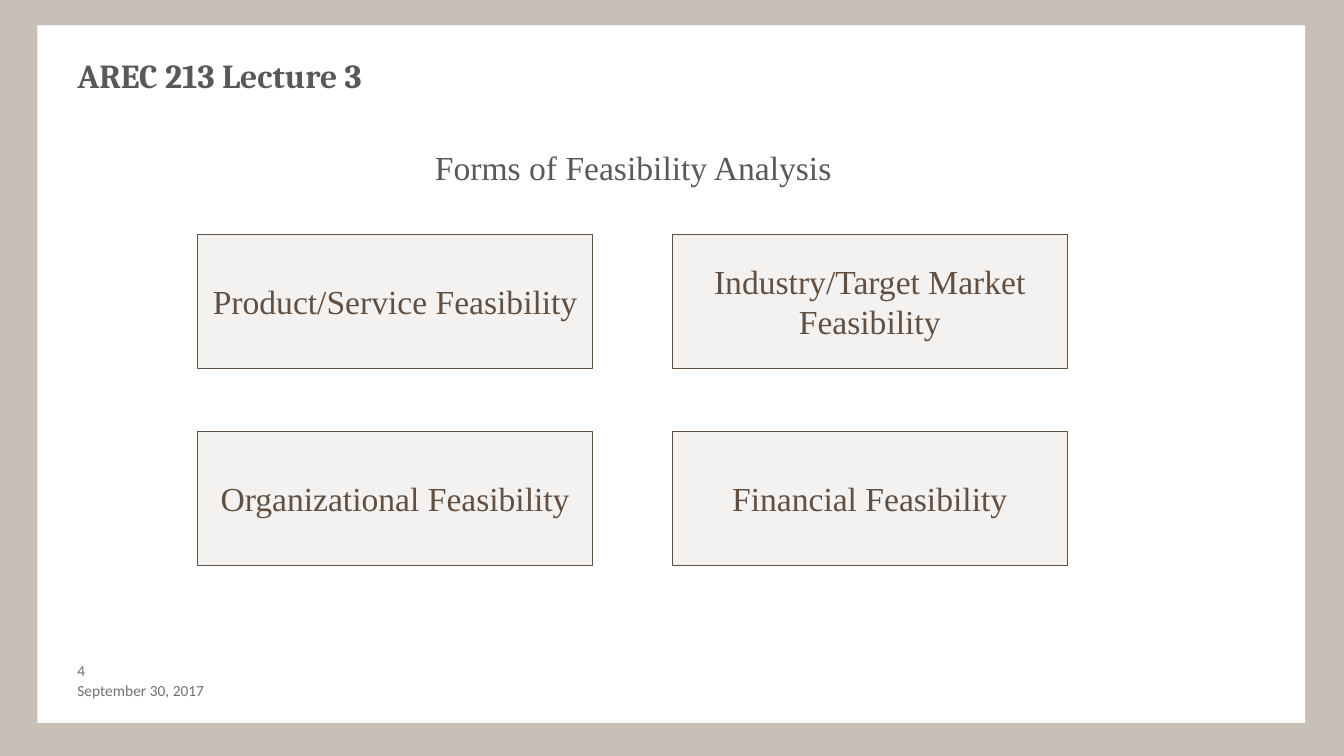
import pptx
import pptx.dml.color
import pptx.enum.shapes
import pptx.enum.text
import pptx.util
from pptx.util import Cm

ALIGN = pptx.enum.text.PP_ALIGN
ANCHOR = pptx.enum.text.MSO_ANCHOR
SERIF = "Times New Roman"
BOX_LABELS = [
    ["Product/Service Feasibility", "Industry/Target Market\nFeasibility"],
    ["Organizational Feasibility", "Financial Feasibility"],
]


def set_color(color_format, color):
    color_format.rgb = pptx.dml.color.RGBColor.from_string(color)


def set_fill(fill, color):
    fill.solid()
    set_color(fill.fore_color, color)


def write_text(text_frame, text, font_name, size, color, align=ALIGN.LEFT, bold=False):
    text_frame.text = text
    for paragraph in text_frame.paragraphs:
        paragraph.alignment = align
        for run in paragraph.runs:
            run.font.name = font_name
            run.font.size = pptx.util.Pt(size)
            run.font.bold = bold
            set_color(run.font.color, color)


def add_rectangle(slide, left, top, width, height, fill, line=None):
    shape = slide.shapes.add_shape(
        pptx.enum.shapes.MSO_SHAPE.RECTANGLE, Cm(left), Cm(top), Cm(width), Cm(height)
    )
    shape.shadow.inherit = False
    set_fill(shape.fill, fill)
    if line:
        set_color(shape.line.color, line)
        shape.line.width = pptx.util.Pt(0.75)
    else:
        shape.line.fill.background()
    return shape


def add_text(slide, left, top, width, height, text, font_name, size, color, **style):
    text_frame = slide.shapes.add_textbox(
        Cm(left), Cm(top), Cm(width), Cm(height)
    ).text_frame
    text_frame.word_wrap = True
    write_text(text_frame, text, font_name, size, color, **style)
    return text_frame


def add_footer(slide, top, width, text):
    text_frame = add_text(slide, 1.7, top, width, 0.51, text, "Calibri", 11, "717171")
    text_frame.margin_top = text_frame.margin_bottom = 0
    text_frame.vertical_anchor = ANCHOR.MIDDLE


def add_label_box(slide, left, top, label):
    shape = add_rectangle(slide, left, top, 9.96, 3.38, "F4F2F1", "615042")
    shape.text_frame.word_wrap = False
    shape.text_frame.vertical_anchor = ANCHOR.MIDDLE
    write_text(shape.text_frame, label, SERIF, 24, "615042", ALIGN.CENTER)


def main():
    presentation = pptx.Presentation()
    presentation.slide_width = Cm(33.87)
    presentation.slide_height = Cm(19.05)
    slide = presentation.slides.add_slide(presentation.slide_layouts[6])
    set_fill(slide.background.fill, "C6C0B7")
    add_rectangle(slide, 0.94, 0.64, 31.95, 17.58, "FFFFFF")
    add_text(slide, 1.7, 1.27, 30.48, 1.9, "AREC 213 Lecture 3",
             "Cambria", 24, "595959", bold=True)
    add_footer(slide, 17.15, 6.78, "September 30, 2017")
    add_footer(slide, 16.64, 1.35, "4")
    heading = add_text(slide, 1.7, 3.81, 28.52, 1.96, "Forms of Feasibility Analysis",
                       SERIF, 24, "595959", align=ALIGN.CENTER)
    heading.paragraphs[0].line_spacing = 0.75
    for row, labels in enumerate(BOX_LABELS):
        for column, label in enumerate(labels):
            add_label_box(slide, 4.98 + 11.96 * column, 5.9 + 4.97 * row, label)
    presentation.save("out.pptx")


if __name__ == "__main__":
    main()
